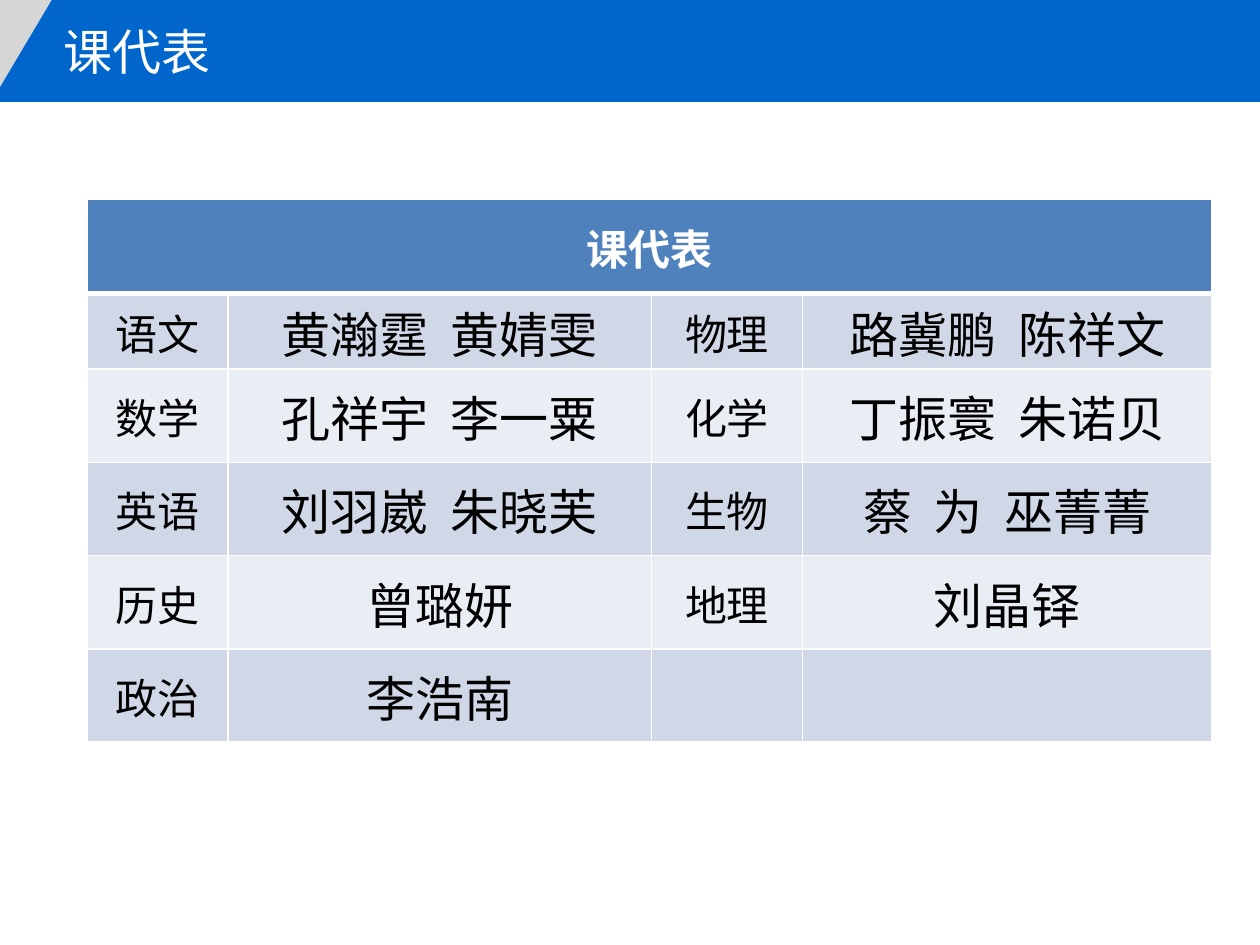
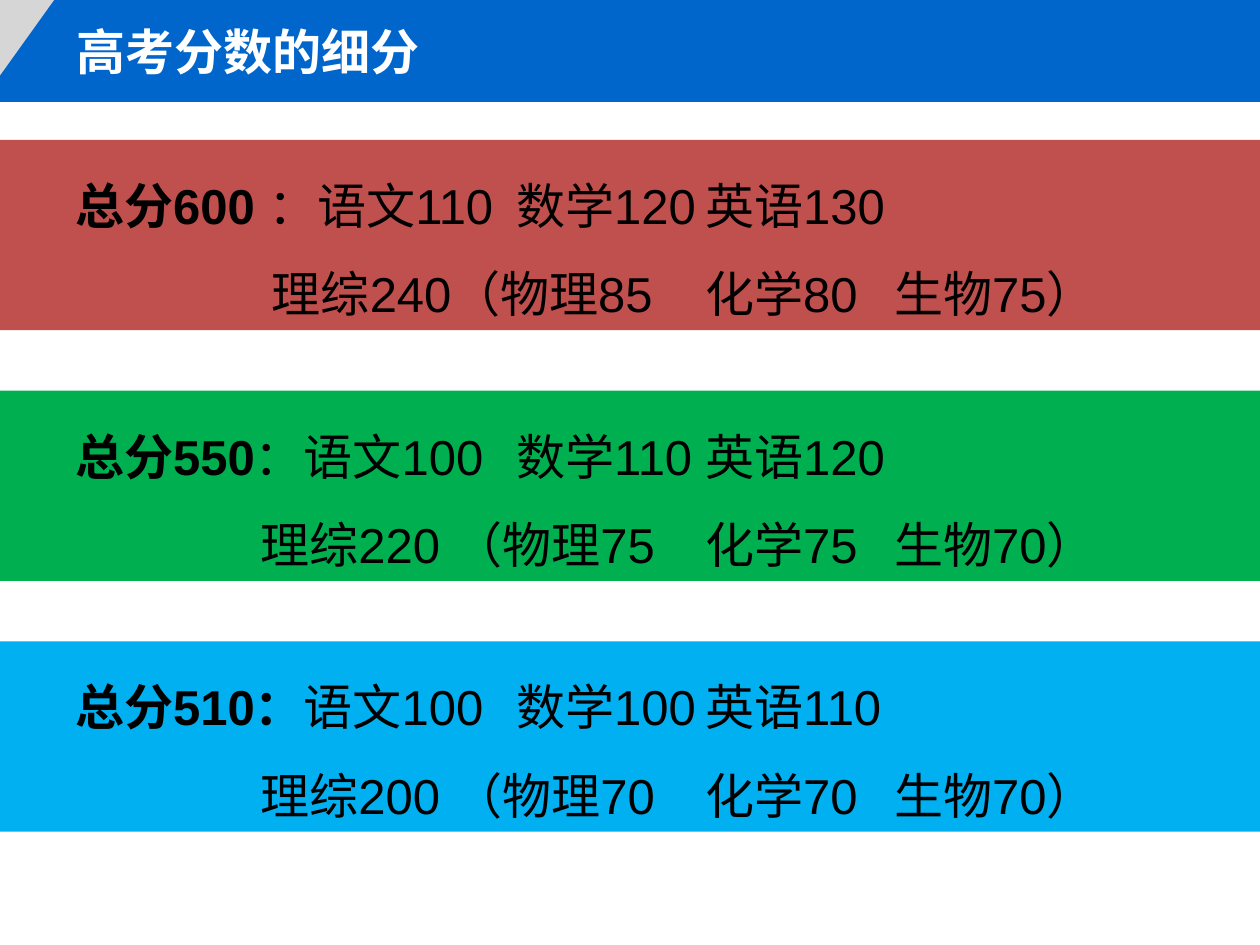
from lxml import etree
from pptx import Presentation
from pptx import util as u
from pptx.dml.color import RGBColor
from pptx.enum import shapes, text
from pptx.oxml import ns

BLUE = RGBColor(0x00, 0x66, 0xCC)
GREY = RGBColor(0xD6, 0xD6, 0xD6)
WHITE = RGBColor(0xFF, 0xFF, 0xFF)
BLACK = RGBColor(0x00, 0x00, 0x00)
STEEL = RGBColor(0x4F, 0x81, 0xBD)
PALE = RGBColor(0xD0, 0xD8, 0xE8)
LIGHT = RGBColor(0xE9, 0xED, 0xF4)
RED = RGBColor(0xC0, 0x50, 0x4D)
GREEN = RGBColor(0x00, 0xB0, 0x50)
SKY = RGBColor(0x00, 0xB0, 0xF0)
LATIN = "Arial"
HAN = "Noto Sans CJK SC"

COLS = [1.12, 3.36, 1.2, 3.25]
ROWS = [0.75, 0.6, 0.74, 0.74, 0.74, 0.74]
REPS = [
    ("语文", "黄瀚霆 黄婧雯", "物理", "路冀鹏 陈祥文"),
    ("数学", "孔祥宇 李一粟", "化学", "丁振寰 朱诺贝"),
    ("英语", "刘羽崴 朱晓芙", "生物", "蔡 为 巫菁菁"),
    ("历史", "曾璐妍", "地理", "刘晶铎"),
    ("政治", "李浩南", "", ""),
]

FIRST = 0.5
GOALS = [
    (RED, "总分600 ", "：", False, "语文110\t数学120\t英语130", (4.4, 6.12),
     "理综240（物理85\t化学80\t生物75）", 2.06, (5.68, 7.28)),
    (GREEN, "总分550", "：", False, "语文100\t数学110\t英语120", (4.32, 6.12),
     "理综220 （物理75\t化学75\t生物70）", 1.97, (5.7, 7.31)),
    (SKY, "总分510", "：", True, "语文100\t数学100\t英语110", (4.32, 6.14),
     "理综200 （物理70\t化学70\t生物70）", 1.97, (5.7, 7.31)),
]


def style(run, size, color, bold=False, face=LATIN):
    font = run.font
    font.size = u.Pt(size)
    font.bold = bold
    font.name = face
    font.color.rgb = color
    east = etree.SubElement(run._r.get_or_add_rPr(), ns.qn("a:ea"))
    east.set("typeface", HAN)


def add_run(para, words, *look):
    run = para.add_run()
    run.text = words
    style(run, *look)
    return run


def add_block(slide, kind, left, top, width, height, color):
    block = slide.shapes.add_shape(kind, u.Inches(left), u.Inches(top),
                                   u.Inches(width), u.Inches(height))
    block.shadow.inherit = False
    block.fill.solid()
    block.fill.fore_color.rgb = color
    block.line.fill.background()
    return block


def add_head(slide, title, left, width, fold, bold):
    add_block(slide, shapes.MSO_SHAPE.RECTANGLE, 0, 0, 10, 0.81, BLUE)
    corner = add_block(slide, shapes.MSO_SHAPE.RIGHT_TRIANGLE, 0, 0, *fold, GREY)
    corner._element.spPr.xfrm.set("flipV", "1")
    box = slide.shapes.add_textbox(u.Inches(left), u.Inches(0.12),
                                   u.Inches(width), u.Inches(0.57))
    box.text_frame.word_wrap = True
    add_run(box.text_frame.paragraphs[0], title, 28, WHITE, bold)


def set_edges(cell, base=1):
    props = cell._tc.get_or_add_tcPr()
    for spot, side in enumerate("LRTB"):
        edge = etree.Element(ns.qn("a:ln" + side))
        edge.set("w", str(u.Pt(base if side == "B" else 1)))
        fill = etree.SubElement(edge, ns.qn("a:solidFill"))
        etree.SubElement(fill, ns.qn("a:srgbClr")).set("val", str(WHITE))
        props.insert(spot, edge)


def paint(cell, color, base=1):
    cell.fill.solid()
    cell.fill.fore_color.rgb = color
    set_edges(cell, base)


def write(cell, words, *look):
    cell.vertical_anchor = text.MSO_ANCHOR.MIDDLE
    cell.margin_left = cell.margin_right = cell.margin_top = u.Inches(0.01)
    cell.margin_bottom = 0
    para = cell.text_frame.paragraphs[0]
    para.alignment = text.PP_ALIGN.CENTER
    for index, name in enumerate(words.split(" ")):
        if index:
            gap = add_run(para, " ", *look)
            gap._r.get_or_add_rPr().set("spc", "630")
        add_run(para, name, *look)


def add_reps(slide):
    frame = slide.shapes.add_table(len(ROWS), len(COLS), u.Inches(0.69), u.Inches(1.58),
                                   u.Inches(sum(COLS)), u.Inches(sum(ROWS)))
    table = frame.table
    table.horz_banding = False
    for col, width in zip(table.columns, COLS):
        col.width = u.Inches(width)
    for row, height in zip(table.rows, ROWS):
        row.height = u.Inches(height)
    for cell in table.rows[0].cells:
        paint(cell, STEEL, 3)
    table.cell(0, 0).merge(table.cell(0, len(COLS) - 1))
    write(table.cell(0, 0), "课代表", 24, WHITE, True)
    for r, entry in enumerate(REPS, 1):
        for c, words in enumerate(entry):
            cell = table.cell(r, c)
            paint(cell, PALE if r % 2 else LIGHT)
            if words:
                look = (28, BLACK, False, HAN) if c % 2 else (24, BLACK)
                write(cell, words, *look)


def set_line(para, indent, stops):
    para.alignment = text.PP_ALIGN.JUSTIFY
    para.line_spacing = 1.5
    props = para._p.get_or_add_pPr()
    props.set("marL", "0")
    props.set("indent", str(u.Inches(indent)))
    tabs = etree.SubElement(props, ns.qn("a:tabLst"))
    for stop in stops:
        tab = etree.SubElement(tabs, ns.qn("a:tab"))
        tab.set("pos", str(u.Inches(stop)))
        tab.set("algn", "l")


def add_goal(slide, top, goal):
    color, total, colon, heavy, main_marks, stops, science, indent, marks = goal
    band = add_block(slide, shapes.MSO_SHAPE.RECTANGLE, 0, top, 10, 1.51, color)
    frame = band.text_frame
    frame.word_wrap = True
    frame.vertical_anchor = text.MSO_ANCHOR.TOP
    para = frame.paragraphs[0]
    set_line(para, FIRST, stops)
    add_run(para, total, 28, BLACK, True)
    add_run(para, colon, 28, BLACK, heavy, HAN if heavy else LATIN)
    add_run(para, main_marks, 28, BLACK)
    para = frame.add_paragraph()
    set_line(para, indent, marks)
    add_run(para, science, 28, BLACK)


def main():
    deck = Presentation()
    deck.slide_width = u.Inches(10)
    deck.slide_height = u.Inches(7.5)
    blank = deck.slide_layouts[6]

    slide = deck.slides.add_slide(blank)
    add_head(slide, "课代表", 0.41, 3.64, (0.41, 0.69), False)
    add_reps(slide)

    slide = deck.slides.add_slide(blank)
    add_head(slide, "高考分数的细分", 0.51, 4.85, (0.43, 0.6), True)
    for index, goal in enumerate(GOALS):
        add_goal(slide, 1.11 + 1.99 * index, goal)

    deck.save("out.pptx")


if __name__ == "__main__":
    main()
